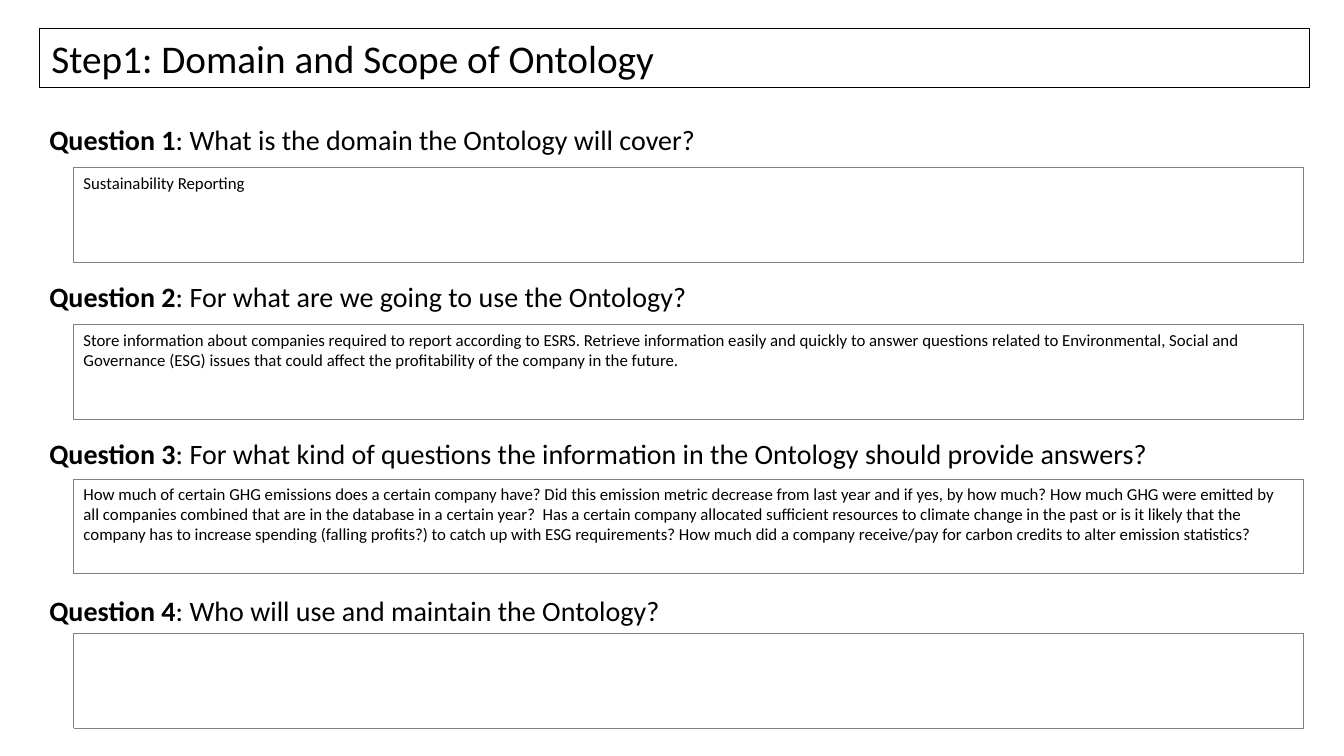
from pptx import Presentation
from pptx.dml.color import RGBColor
from pptx.enum.dml import MSO_LINE
from pptx.enum.shapes import MSO_SHAPE
from pptx.enum.text import MSO_ANCHOR, MSO_AUTO_SIZE, PP_ALIGN
from pptx.util import Inches, Pt

RECTANGLE = MSO_SHAPE.RECTANGLE
DOTTED = MSO_LINE.ROUND_DOT
TOP, MIDDLE = MSO_ANCHOR.TOP, MSO_ANCHOR.MIDDLE
LEFT = PP_ALIGN.LEFT
FIXED = MSO_AUTO_SIZE.NONE
TITLE_ONLY = 5

QUESTIONS = [
    ("What is the domain the Ontology will cover?", 9.89, 1.66,
     "Sustainability Reporting"),
    ("For what are we going to use the Ontology?", 9.89, 3.22,
     "Store information about companies required to report according to ESRS. "
     "Retrieve information easily and quickly to answer questions related to "
     "Environmental, Social and Governance (ESG) issues that could affect the "
     "profitability of the company in the future."),
    ("For what kind of questions the information in the Ontology should provide answers?",
     12.55, 4.75,
     "How much of certain GHG emissions does a certain company have? Did this "
     "emission metric decrease from last year and if yes, by how much? How much GHG "
     "were emitted by all companies combined that are in the database in a certain "
     "year?  Has a certain company allocated sufficient resources to climate change "
     "in the past or is it likely that the company has to increase spending (falling "
     "profits?) to catch up with ESG requirements? How much did a company receive/pay "
     "for carbon credits to alter emission statistics?"),
    ("Who will use and maintain the Ontology?", 9.89, 6.28, ""),
]


def color(hex_value):
    return RGBColor.from_string(hex_value)


class OntologySlide:
    """Holds the style and the slide, and draws each kind of element."""

    font = "Calibri"
    ink = "000000"
    answer_border = "808080"

    def __init__(self, slide):
        self.slide = slide

    def add_text(self, shape, runs, size, anchor=TOP):
        frame = shape.text_frame
        frame.word_wrap = True
        frame.auto_size = FIXED
        frame.vertical_anchor = anchor
        paragraph = frame.paragraphs[0]
        paragraph.alignment = LEFT
        for text, bold in runs:
            run = paragraph.add_run()
            run.text = text
            run.font.name = self.font
            run.font.size = Pt(size)
            run.font.bold = bold
            run.font.color.rgb = color(self.ink)

    def outline(self, shape, border, width):
        shape.fill.background()
        shape.line.color.rgb = color(border)
        shape.line.width = Pt(width)

    def title(self, text):
        heading = self.slide.shapes.title
        heading.left, heading.top = Inches(0.39), Inches(0.28)
        heading.width, heading.height = Inches(12.6), Inches(0.59)
        self.outline(heading, self.ink, 0.5)
        frame = heading.text_frame
        frame.margin_left = frame.margin_right = Inches(0.12)
        frame.margin_top = frame.margin_bottom = Inches(0.12)
        self.add_text(heading, [(text, False)], 28, MIDDLE)

    def question(self, number, text, top, width):
        label = self.slide.shapes.add_textbox(
            Inches(0.39), Inches(top), Inches(width), Inches(0.44))
        self.add_text(label, [(f"Question {number}", True), (f": {text}", False)], 20)

    def answer(self, text, top):
        box = self.slide.shapes.add_shape(
            RECTANGLE, Inches(0.73), Inches(top), Inches(12.2), Inches(0.94))
        box.shadow.inherit = False
        self.outline(box, self.answer_border, 0.25)
        box.line.dash_style = DOTTED
        if text:
            self.add_text(box, [(text, False)], 12)


def main():
    presentation = Presentation()
    presentation.slide_width = Inches(13.33)
    presentation.slide_height = Inches(7.5)
    layout = presentation.slide_layouts[TITLE_ONLY]
    scope = OntologySlide(presentation.slides.add_slide(layout))

    scope.title("Step1: Domain and Scope of Ontology")
    first_top, last_top = 1.17, 5.84
    pitch = (last_top - first_top) / (len(QUESTIONS) - 1)
    for index, (question, width, answer_top, answer) in enumerate(QUESTIONS):
        scope.question(index + 1, question, first_top + index * pitch, width)
        scope.answer(answer, answer_top)

    presentation.save("out.pptx")


if __name__ == "__main__":
    main()
